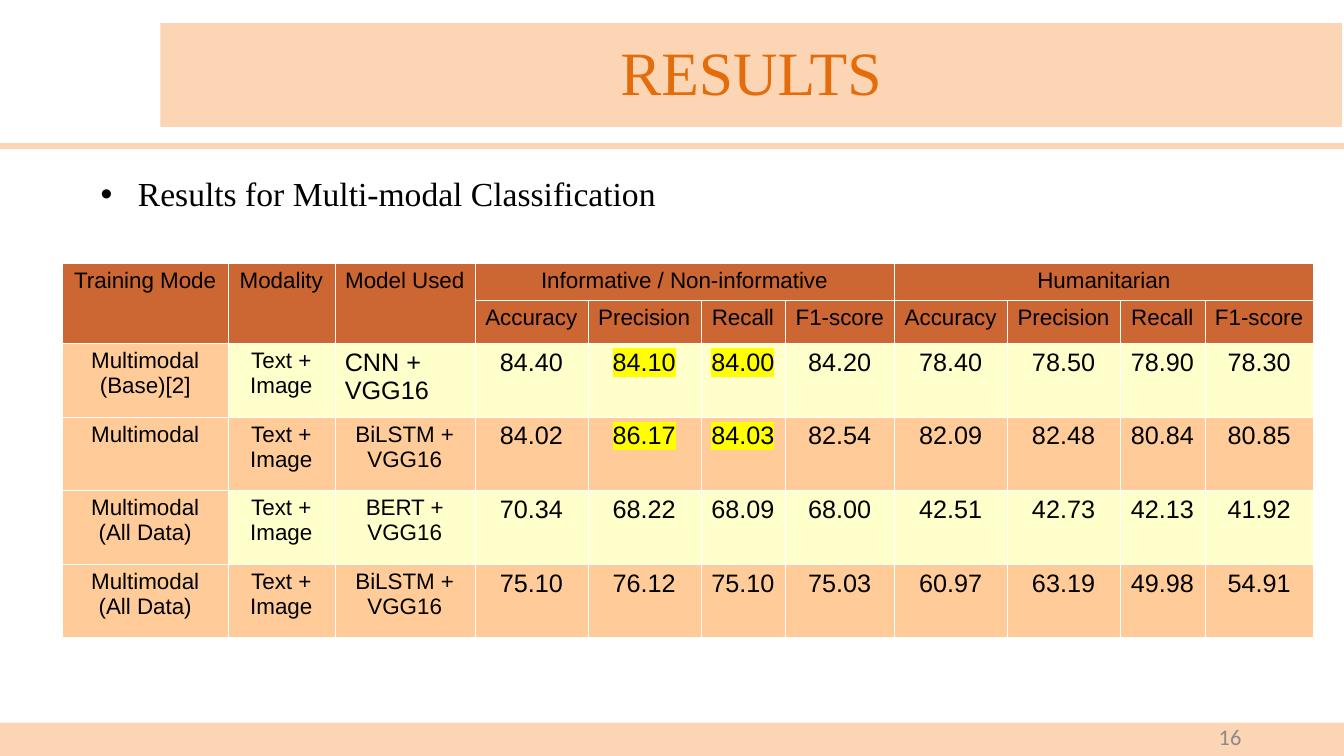
from lxml import etree
from pptx import Presentation
from pptx.dml.color import RGBColor
from pptx.enum.shapes import MSO_CONNECTOR, MSO_SHAPE
from pptx.enum.text import MSO_ANCHOR, PP_ALIGN
from pptx.oxml.ns import qn
from pptx.util import Inches, Pt

PEACH = "FCD5B5"
HEADER_FILL = "CC6633"
ORANGE_BAND = "FFCC99"
YELLOW_BAND = "FFFFCC"
HIGHLIGHT = "FFFF00"
METRICS = ["Accuracy", "Precision", "Recall", "F1-score"]
LABELS = ["Training Mode", "Modality", "Model Used"]
TASKS = ["Informative / Non-informative", "Humanitarian"]
COLUMN_WIDTHS = [1.64, 1.06, 1.39] + [1.12, 1.12, 0.84, 1.08] * len(TASKS)
ROW_HEIGHTS = [0.36, 0.43, 0.73, 0.73, 0.73, 0.72]
RESULTS = [
    ["Multimodal\n(Base)[2]", "Text + Image", "CNN + VGG16",
     "84.40", "84.10", "84.00", "84.20", "78.40", "78.50", "78.90", "78.30"],
    ["Multimodal", "Text + Image", "BiLSTM + VGG16",
     "84.02", "86.17", "84.03", "82.54", "82.09", "82.48", "80.84", "80.85"],
    ["Multimodal (All Data)", "Text + Image", "BERT + VGG16",
     "70.34", "68.22", "68.09", "68.00", "42.51", "42.73", "42.13", "41.92"],
    ["Multimodal\n(All Data)", "Text + Image", "BiLSTM + VGG16",
     "75.10", "76.12", "75.10", "75.03", "60.97", "63.19", "49.98", "54.91"],
]
HIGHLIGHTED = {(0, 4), (0, 5), (1, 4), (1, 5)}


def color(hex_code):
    """Turn a hex string into a colour."""
    return RGBColor.from_string(hex_code)


def write_text(frame, text, size=16, font="Arial", ink="000000",
               align=PP_ALIGN.CENTER, spacing=None, highlight=None):
    """Write one formatted paragraph for each line of text."""
    for index, line in enumerate(text.split("\n")):
        paragraph = frame.add_paragraph() if index else frame.paragraphs[0]
        paragraph.alignment = align
        if spacing:
            paragraph.line_spacing = spacing
        run = paragraph.add_run()
        run.text = line
        run.font.size = Pt(size)
        run.font.name = font
        run.font.color.rgb = color(ink)
        if highlight:
            marker = etree.Element(qn("a:highlight"))
            etree.SubElement(marker, qn("a:srgbClr"), val=highlight)
            run._r.rPr.find(qn("a:solidFill")).addnext(marker)


def add_band(slide, left, top, width, height):
    """Add a peach rectangle without outline."""
    band = slide.shapes.add_shape(MSO_SHAPE.RECTANGLE, Inches(left), Inches(top),
                                  Inches(width), Inches(height))
    band.shadow.inherit = False
    band.fill.solid()
    band.fill.fore_color.rgb = color(PEACH)
    band.line.fill.background()
    return band


def add_rule(slide, top, width):
    """Add the peach line under the title."""
    rule = slide.shapes.add_connector(MSO_CONNECTOR.STRAIGHT, 0, Inches(top),
                                      Inches(width), Inches(top))
    rule.line.color.rgb = color(PEACH)
    rule.line.width = Pt(4.5)
    etree.SubElement(rule._element.spPr, qn("a:effectLst"))


def add_label(slide, left, top, width, height, text, anchor=MSO_ANCHOR.TOP, **text_format):
    """Add a wrapping text box and return its text frame."""
    frame = slide.shapes.add_textbox(Inches(left), Inches(top),
                                     Inches(width), Inches(height)).text_frame
    frame.word_wrap = True
    frame.vertical_anchor = anchor
    write_text(frame, text, **text_format)
    return frame


def add_bullet(paragraph):
    """Give a paragraph a black round bullet with a hanging indent."""
    properties = paragraph._p.get_or_add_pPr()
    properties.set("marL", str(Inches(0.38)))
    properties.set("indent", str(Inches(-0.37)))
    bullet_color = etree.SubElement(properties, qn("a:buClr"))
    etree.SubElement(bullet_color, qn("a:srgbClr"), val="000000")
    etree.SubElement(properties, qn("a:buFont"), typeface="Arial")
    etree.SubElement(properties, qn("a:buChar"), char="•")


def style_cell(cell, fill):
    """Give a cell thin white borders and a solid fill."""
    properties = cell._tc.get_or_add_tcPr()
    for side in ("a:lnL", "a:lnR", "a:lnT", "a:lnB"):
        border = etree.SubElement(properties, qn(side), w=str(Pt(0.06)))
        border_fill = etree.SubElement(border, qn("a:solidFill"))
        etree.SubElement(border_fill, qn("a:srgbClr"), val="FFFFFF")
    cell.fill.solid()
    cell.fill.fore_color.rgb = color(fill)


def fill_header(table):
    """Merge and label the two header rows."""
    for column, label in enumerate(LABELS):
        table.cell(0, column).merge(table.cell(1, column))
        write_text(table.cell(0, column).text_frame, label)
    for task_index, task in enumerate(TASKS):
        first = len(LABELS) + task_index * len(METRICS)
        table.cell(0, first).merge(table.cell(0, first + len(METRICS) - 1))
        write_text(table.cell(0, first).text_frame, task)
        for offset, metric in enumerate(METRICS):
            write_text(table.cell(1, first + offset).text_frame, metric)


def fill_results(table):
    """Write the models and their scores."""
    for row, result in enumerate(RESULTS):
        for column, value in enumerate(result):
            base_model = (row, column) == (0, 2)
            write_text(table.cell(row + 2, column).text_frame, value,
                       size=18 if base_model or column >= len(LABELS) else 16,
                       align=PP_ALIGN.LEFT if base_model else PP_ALIGN.CENTER,
                       highlight=HIGHLIGHT if (row, column) in HIGHLIGHTED else None)


def add_results_table(slide, left, top):
    """Add the table of classification results."""
    table = slide.shapes.add_table(len(ROW_HEIGHTS), len(COLUMN_WIDTHS), Inches(left),
                                   Inches(top), Inches(sum(COLUMN_WIDTHS)),
                                   Inches(sum(ROW_HEIGHTS))).table
    table.first_row = False
    table.horz_banding = False
    for column, width in zip(table.columns, COLUMN_WIDTHS):
        column.width = Inches(width)
    for row_index, height in enumerate(ROW_HEIGHTS):
        table.rows[row_index].height = Inches(height)
        for column_index, cell in enumerate(table.rows[row_index].cells):
            if row_index < 2:
                fill = HEADER_FILL
            elif column_index == 0 or row_index % 2:
                fill = ORANGE_BAND
            else:
                fill = YELLOW_BAND
            style_cell(cell, fill)
    fill_header(table)
    fill_results(table)


def main():
    """Build the results slide."""
    presentation = Presentation()
    presentation.slide_width = Inches(13.33)
    presentation.slide_height = Inches(7.5)
    slide = presentation.slides.add_slide(presentation.slide_layouts[6])
    add_band(slide, 0, 7.17, 13.33, 0.33)
    add_rule(slide, 1.45, 13.33)
    title = add_band(slide, 1.59, 0.23, 11.72, 1.03).text_frame
    title.vertical_anchor = MSO_ANCHOR.MIDDLE
    write_text(title, "RESULTS", size=44, font="Times New Roman", ink="E46C0A", spacing=0.9)
    add_label(slide, 9.42, 7.11, 2.99, 0.39, "16", anchor=MSO_ANCHOR.MIDDLE,
              font="Calibri", ink="8B8B8B", align=PP_ALIGN.RIGHT)
    subtitle = add_label(slide, 0.89, 1.67, 11.53, 2.93,
                         "Results for Multi-modal Classification", size=24,
                         font="Times New Roman", align=PP_ALIGN.LEFT)
    add_bullet(subtitle.paragraphs[0])
    add_results_table(slide, 0.62, 2.61)
    presentation.save("out.pptx")


if __name__ == "__main__":
    main()
